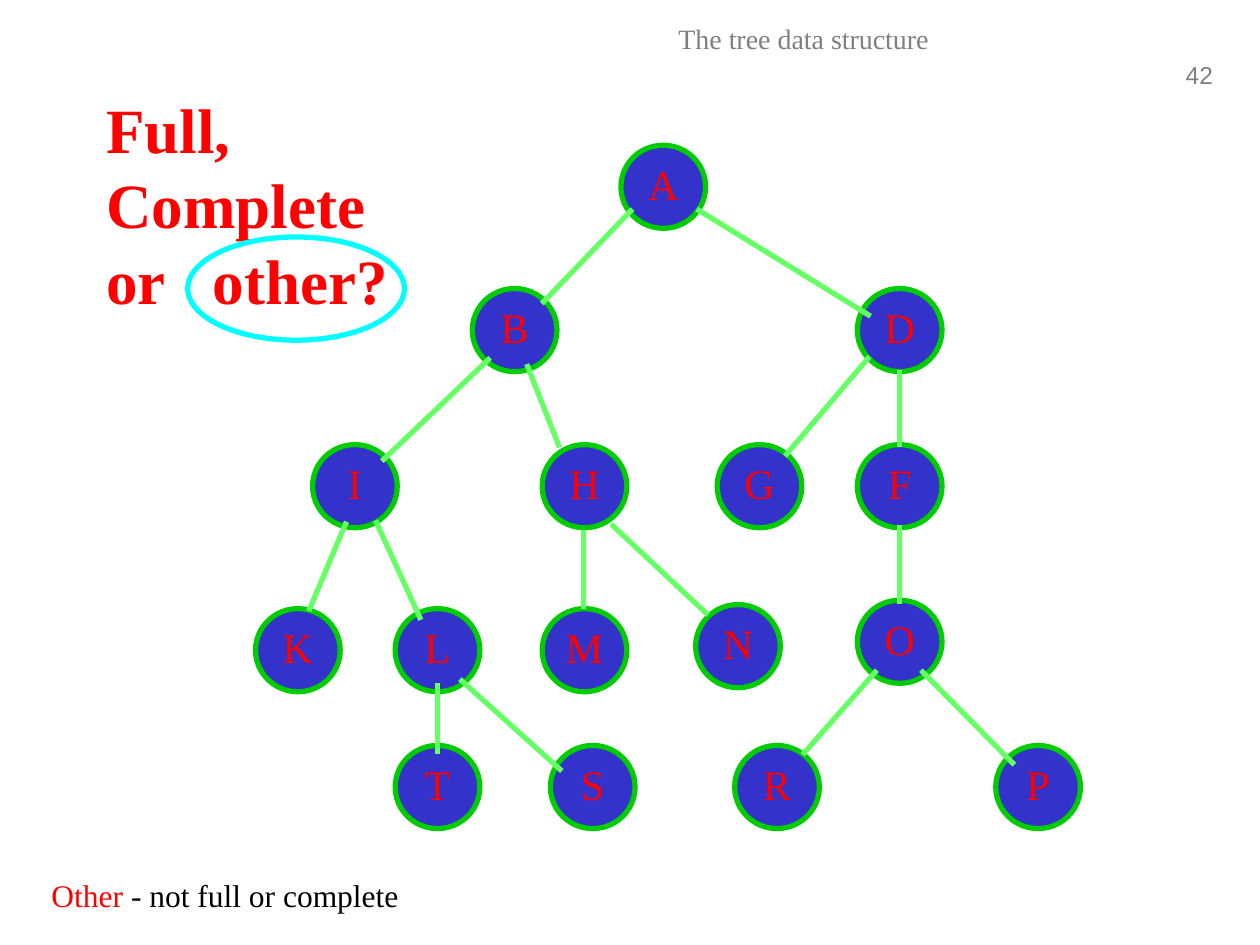
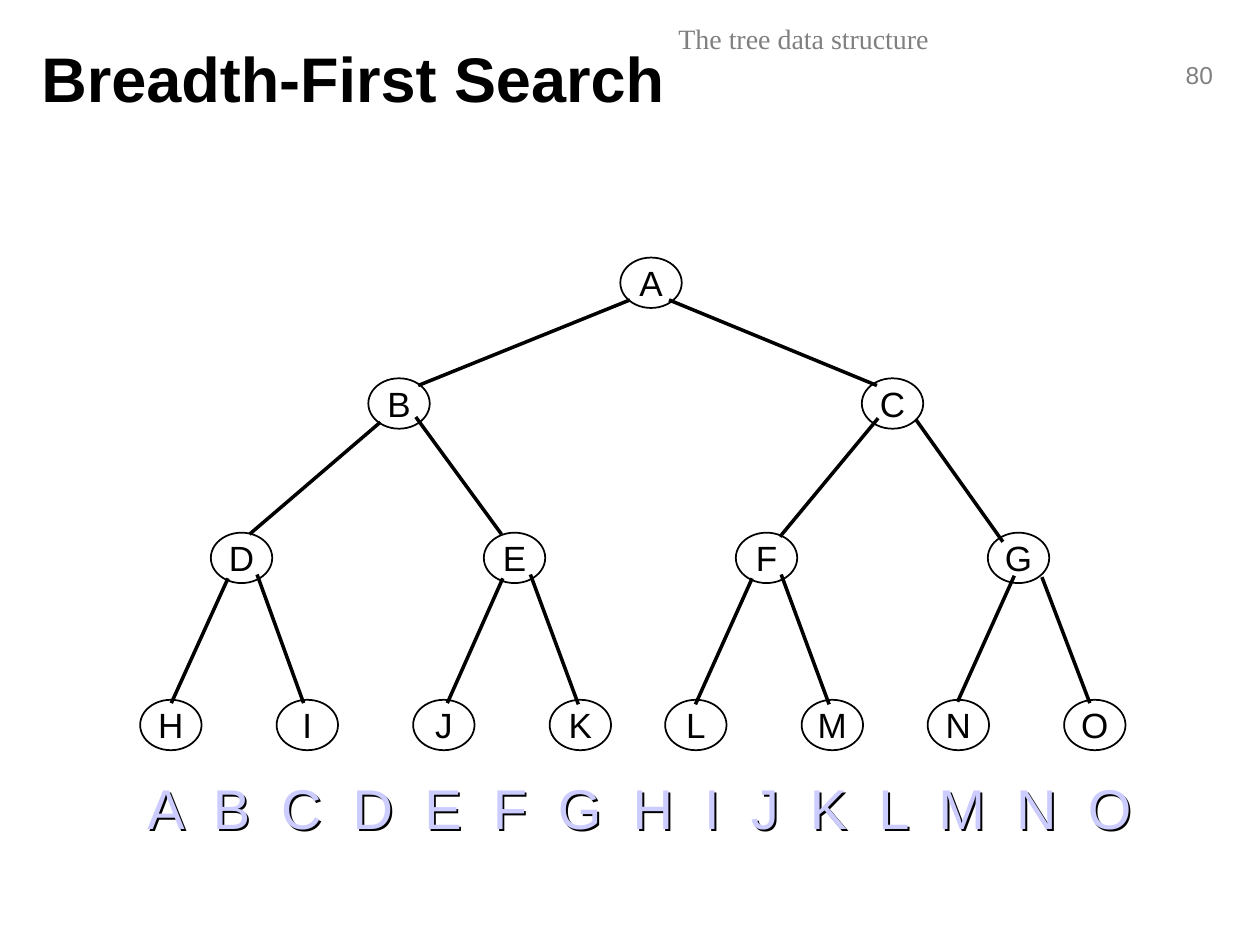
from lxml.etree import SubElement
from pptx import Presentation
from pptx.dml.color import RGBColor
from pptx.enum.shapes import MSO_CONNECTOR, MSO_SHAPE
from pptx.enum.text import MSO_ANCHOR, MSO_AUTO_SIZE, PP_ALIGN
from pptx.oxml import parse_xml
from pptx.oxml.ns import nsdecls, qn
from pptx.util import Pt

SERIF, SANS = "Times New Roman", "Arial"
RED, BLACK, GREY, WHITE = "FF0000", "000000", "808080", "FFFFFF"

HEADER = {"name": SERIF, "size": Pt(16)}
NUMBER = {"name": SANS, "size": Pt(14)}
NOTE = {"name": SERIF, "size": Pt(18)}
ORDER = {"name": SANS, "size": Pt(32)}
TITLE = {"size": Pt(36), "bold": True}

BOLD_TREE = {
    "size": (48.4, 47.5), "fill": "3333CC", "line": "00CC00", "width": 3,
    "font": {"name": SERIF, "size": Pt(24)}, "ink": RED, "pad": 3.6,
    "edge": "66FF66", "stroke": 3,
}
PLAIN_TREE = {
    "size": (35.1, 28.8), "fill": WHITE, "line": BLACK, "width": 1,
    "font": {"name": SANS, "size": Pt(20)}, "ink": BLACK, "pad": 0,
    "edge": BLACK, "stroke": 2,
}

# Each row of a tree: top, then the left side of every node
OTHER_ROWS = [
    (83, {"A": 354.8}),
    (164.9, {"B": 269.9, "D": 489.9}),
    (254.1, {"I": 178.6, "H": 309.8, "G": 409.8, "F": 489.9}),
    (347.8, {"K": 146, "L": 225.8, "M": 309.8}),
    (345.5, {"N": 397.5}),
    (343, {"O": 489.9}),
    (426, {"T": 225.8, "S": 314.5, "R": 419.8, "P": 569}),
]
OTHER_EDGES = [
    (361.4, 119.5, 309.6, 173.5), (398.2, 119.5, 497.5, 180.7),
    (514.1, 211.7, 514.1, 255.6), (496.8, 203.8, 448.6, 260.6),
    (280.1, 204.5, 218.2, 263.5), (301, 208.1, 319.7, 255.6),
    (514.1, 300.2, 514.1, 344.9), (333.4, 303.1, 333.4, 347.8),
    (198, 298.1, 176.4, 349.2), (214.6, 297.4, 240.5, 354.2),
    (249.8, 390.2, 249.8, 430.6), (262.8, 388.1, 321.1, 440.6),
    (526.3, 383, 579.6, 437), (501.1, 383, 458.6, 431.3),
    (349.2, 299.5, 404.6, 351.4),
]
SEARCH_ROWS = [
    (147.2, {"A": 354.5}),
    (216.2, {"B": 210.5, "C": 492.5}),
    (304.4, {"D": 120.5, "E": 276.5, "F": 420.5, "G": 564.5}),
    (399.9, {"H": 80.1, "I": 158.1, "J": 236.1, "K": 314.1,
             "L": 380.1, "M": 458.1, "N": 530.1, "O": 608.1}),
]
SEARCH_EDGES = [
    (360, 171.4, 239, 220.3), (382.3, 171.4, 501.1, 220.3),
    (217.4, 241.2, 142.6, 305.3), (237.6, 238.3, 286.6, 305.3),
    (501.8, 239, 445.7, 306.7), (523.4, 239.8, 573.1, 309.6),
    (130.3, 330.5, 97.9, 401.8), (146.9, 328.3, 173.5, 401.8),
    (287.3, 330.5, 255.6, 401.8), (303.1, 328.3, 330.5, 402.5),
    (429.8, 330.5, 397.4, 402.5), (446.4, 328.3, 473.8, 402.5),
    (579.6, 329, 547.2, 401), (595.4, 329.8, 622.8, 401.8),
]


def paint(part, tint):
    """Give a fill a solid colour from a hex string."""
    part.solid()
    part.fore_color.rgb = RGBColor.from_string(tint)


def apply(thing, values):
    for key, value in values.items():
        setattr(thing, key, value)


def write(para, text, font, tint, gap=0):
    """Add a run; gap is extra space after each letter, in points."""
    run = para.add_run()
    run.text = text
    apply(run.font, font)
    paint(run.font.fill, tint)
    if gap:
        run._r.get_or_add_rPr().set("spc", str(round(gap * 100)))


def add_text(slide, box, align=PP_ALIGN.LEFT, wrap=False):
    """Add an empty text box; return it and its first paragraph."""
    label = slide.shapes.add_textbox(*map(Pt, box))
    label.text_frame.word_wrap = wrap
    para = label.text_frame.paragraphs[0]
    para.alignment = align
    return label, para


def set_title(slide, box, anchor):
    title = slide.shapes.title
    apply(title, dict(zip(("left", "top", "width", "height"), map(Pt, box))))
    apply(title.text_frame, {
        "vertical_anchor": anchor, "word_wrap": True,
        "auto_size": MSO_AUTO_SIZE.NONE,
    })
    para = title.text_frame.paragraphs[0]
    para.alignment = PP_ALIGN.LEFT
    return title, para


def add_oval(slide, box, line, width, fill=None):
    oval = slide.shapes.add_shape(MSO_SHAPE.OVAL, *map(Pt, box))
    oval.shadow.inherit = False
    if fill:
        paint(oval.fill, fill)
    else:
        oval.fill.background()
    paint(oval.line.fill, line)
    oval.line.width = Pt(width)
    return oval


def add_node(slide, name, left, top, look):
    box = (left, top, *look["size"])
    oval = add_oval(slide, box, look["line"], look["width"], look["fill"])
    frame = oval.text_frame
    apply(frame, {
        "margin_left": 0, "margin_right": 0, "margin_top": 0,
        "margin_bottom": Pt(look["pad"]), "word_wrap": False,
        "vertical_anchor": MSO_ANCHOR.MIDDLE,
    })
    para = frame.paragraphs[0]
    para.alignment = PP_ALIGN.CENTER
    write(para, name, look["font"], look["ink"])


def add_edge(slide, ends, look):
    edge = slide.shapes.add_connector(MSO_CONNECTOR.STRAIGHT, *map(Pt, ends))
    paint(edge.line.fill, look["edge"])
    edge.line.width = Pt(look["stroke"])
    SubElement(edge._element.spPr, qn("a:effectLst"))


def add_tree(slide, rows, edges, look):
    for top, nodes in rows:
        for name, left in nodes.items():
            add_node(slide, name, left, top, look)
    for ends in edges:
        add_edge(slide, ends, look)


def add_shade(label):
    """Put a small black shadow behind the letters of an unfilled box."""
    label._element.spPr.append(parse_xml(
        f'<a:effectLst {nsdecls("a")}>'
        f'<a:outerShdw dist="{Pt(1.6)}" dir="2700000" algn="ctr">'
        f'<a:srgbClr val="{BLACK}"/></a:outerShdw></a:effectLst>'))


def start_slide(deck, number):
    """Add a slide with the shared header and page number."""
    slide = deck.slides.add_slide(deck.slide_layouts[5])
    para = add_text(slide, (668.6, 30.6, 31.7, 23.8), PP_ALIGN.RIGHT)[1]
    write(para, str(number), NUMBER, GREY)
    para = add_text(slide, (229.5, 8.6, 459.4, 28.8), PP_ALIGN.CENTER, True)[1]
    write(para, "The tree data structure", HEADER, GREY)
    return slide


def build_other(deck):
    slide = start_slide(deck, 42)
    title, para = set_title(slide, (53.5, 48, 204.5, 170), MSO_ANCHOR.TOP)
    paint(title.fill, WHITE)
    title.text_frame.margin_right = Pt(14)
    para.line_spacing = 1.0
    font = {**TITLE, "name": SERIF}
    for text, gap in (("Full, Complete or", 0), (" ", 18), ("other?", 0)):
        write(para, text, font, RED, gap)
    add_tree(slide, OTHER_ROWS, OTHER_EDGES, BOLD_TREE)
    add_oval(slide, (107.3, 135.4, 123.8, 59), "00FFFF", 3)
    para = add_text(slide, (22.3, 496.8, 215.3, 28.8))[1]
    write(para, "Other ", NOTE, RED)
    write(para, "- not full or complete", NOTE, BLACK)


def build_search(deck):
    slide = start_slide(deck, 80)
    para = set_title(slide, (16.4, 10.8, 578.2, 67), MSO_ANCHOR.MIDDLE)[1]
    write(para, "Breadth-First Search", {**TITLE, "name": SANS}, BLACK)
    add_tree(slide, SEARCH_ROWS, SEARCH_EDGES, PLAIN_TREE)
    label, para = add_text(slide, (77.2, 438.5, 579.6, 45.4))
    names = [name for _, nodes in SEARCH_ROWS for name in nodes]
    write(para, " ".join(names), ORDER, "CCCCFF", 4.45)
    add_shade(label)


def main():
    deck = Presentation()
    deck.slide_width, deck.slide_height = Pt(720), Pt(540)
    build_other(deck)
    build_search(deck)
    deck.save("out.pptx")


if __name__ == "__main__":
    main()
